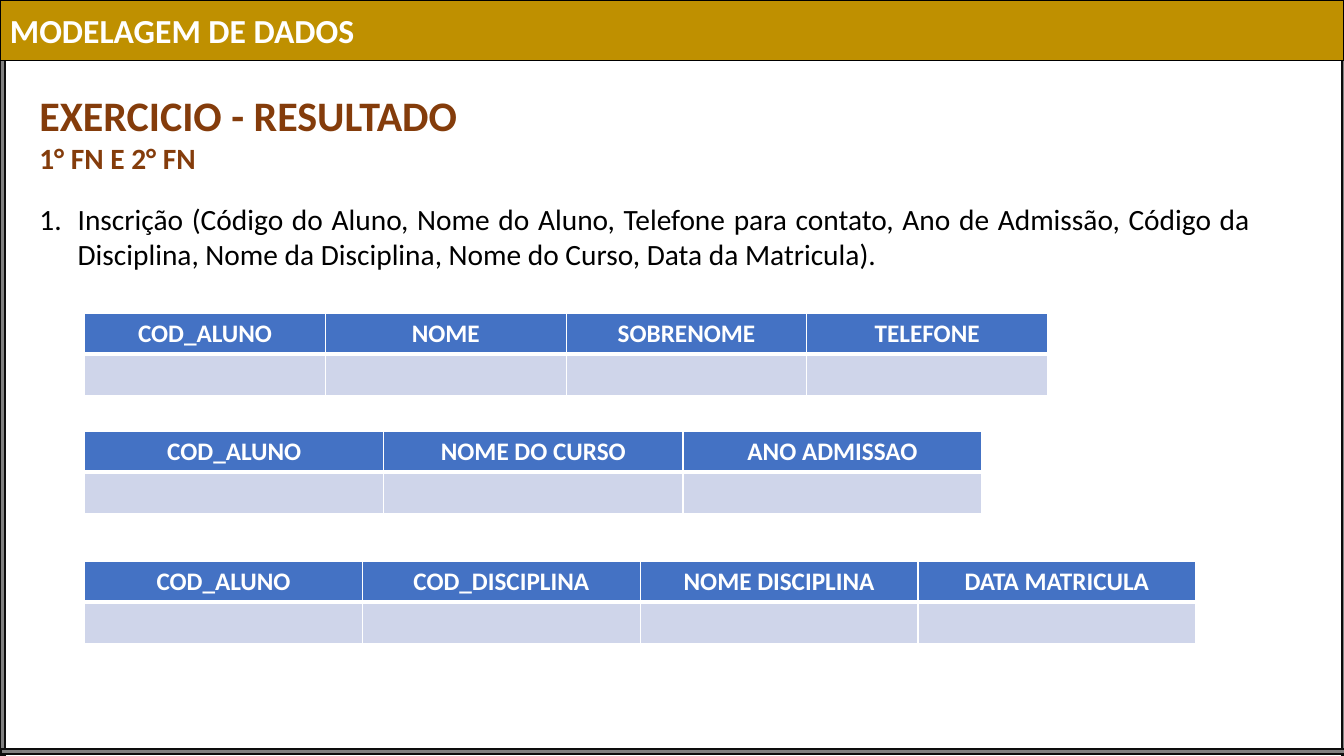
from typing import NamedTuple

import pptx
import pptx.dml.color
import pptx.enum.text
import pptx.oxml.ns
import pptx.util
from lxml import etree
from pptx.enum.shapes import MSO_SHAPE
from pptx.enum.text import MSO_ANCHOR, MSO_AUTO_SIZE, PP_ALIGN
from pptx.util import Inches

FONT = "Calibri"
WHITE, BLACK, BROWN = "FFFFFF", "000000", "843C0B"
TABLE_LEFT, ROW_HEIGHT = 0.84, 0.405


class Bar(NamedTuple):
    left: float
    top: float
    width: float
    height: float
    fill: str = "808080"
    line: str = "0D0D0D"
    label: str = ""


class Relation(NamedTuple):
    top: float
    width: float
    columns: list[str]


FRAME = [
    Bar(0, 0, 0.05, 7.5),
    Bar(13.31, 0, 0.05, 7.5),
    Bar(0, 0, 13.33, 0.6, "BF9000", BLACK, "MODELAGEM DE DADOS"),
    Bar(0.01, 7.43, 13.35, 0.05),
]
RELATIONS = [
    Relation(3.11, 9.55, ["COD_ALUNO", "NOME", "SOBRENOME", "TELEFONE"]),
    Relation(4.28, 8.9, ["COD_ALUNO", "NOME DO CURSO", "ANO ADMISSAO"]),
    Relation(5.57, 11.02, ["COD_ALUNO", "COD_DISCIPLINA", "NOME DISCIPLINA",
                           "DATA MATRICULA"]),
]


def color(value: str) -> pptx.dml.color.RGBColor:
    return pptx.dml.color.RGBColor.from_string(value)


def format_paragraph(paragraph, size: float, ink: str, bold: bool = False,
                     align: PP_ALIGN = PP_ALIGN.LEFT) -> None:
    paragraph.alignment = align
    paragraph.space_before = pptx.util.Pt(0)
    for span in paragraph.runs:
        span.font.name = FONT
        span.font.size = pptx.util.Pt(size)
        span.font.bold = bold
        span.font.color.rgb = color(ink)


def add_child(parent, tag: str, **attributes: str):
    return etree.SubElement(parent, pptx.oxml.ns.qn(tag), **attributes)


def place(box, left: float, top: float, width: float, height: float) -> None:
    box.left, box.top = Inches(left), Inches(top)
    box.width, box.height = Inches(width), Inches(height)
    box.text_frame.vertical_anchor = MSO_ANCHOR.TOP
    box.text_frame.auto_size = MSO_AUTO_SIZE.NONE


def draw_bar(page, bar: Bar) -> None:
    shape = page.shapes.add_shape(
        MSO_SHAPE.RECTANGLE, Inches(bar.left), Inches(bar.top),
        Inches(bar.width), Inches(bar.height))
    shape.shadow.inherit = False
    shape.fill.solid()
    shape.fill.fore_color.rgb = color(bar.fill)
    shape.line.color.rgb = color(bar.line)
    shape.line.width = pptx.util.Pt(1)
    if bar.label:
        shape.text_frame.text = bar.label
        shape.text_frame.vertical_anchor = MSO_ANCHOR.MIDDLE
        format_paragraph(shape.text_frame.paragraphs[0], 24, WHITE, bold=True)


def style_cell(cell, fill: str, top: float, bottom: float) -> None:
    properties = cell._tc.get_or_add_tcPr()
    for side, points in (("L", 1), ("R", 1), ("T", top), ("B", bottom)):
        border = add_child(properties, f"a:ln{side}",
                           w=str(int(pptx.util.Pt(points))))
        add_child(add_child(border, "a:solidFill"), "a:srgbClr", val=WHITE)
    cell.fill.solid()
    cell.fill.fore_color.rgb = color(fill)


def draw_relation(page, relation: Relation) -> None:
    count = len(relation.columns)
    table = page.shapes.add_table(
        2, count, Inches(TABLE_LEFT), Inches(relation.top),
        Inches(relation.width), Inches(2 * ROW_HEIGHT)).table
    for row in table.rows:
        row.height = Inches(ROW_HEIGHT)
    for index, name in enumerate(relation.columns):
        table.columns[index].width = Inches(relation.width / count)
        header = table.cell(0, index)
        header.text_frame.text = name
        format_paragraph(header.text_frame.paragraphs[0], 18, WHITE,
                         bold=True, align=PP_ALIGN.CENTER)
        style_cell(header, "4472C4", top=1, bottom=3)
        style_cell(table.cell(1, index), "CFD5EA", top=3, bottom=1)


def write_title(box) -> None:
    place(box, 0.29, 0.84, 4.38, 0.96)
    box.text_frame.text = "EXERCICIO - RESULTADO\n1° FN E 2° FN"
    box.text_frame.word_wrap = False
    for paragraph, size in zip(box.text_frame.paragraphs, (30, 21)):
        format_paragraph(paragraph, size, BROWN, bold=True)


def write_exercise(box) -> None:
    place(box, 0.29, 1.94, 12.21, 0.81)
    box.text_frame.text = (
        "Inscrição (Código do Aluno, Nome do Aluno, Telefone para contato, "
        "Ano de Admissão, Código da Disciplina, Nome da Disciplina, "
        "Nome do Curso, Data da Matricula).")
    paragraph = box.text_frame.paragraphs[0]
    properties = paragraph._p.get_or_add_pPr()
    properties.set("marL", str(int(Inches(0.38))))
    properties.set("indent", str(int(Inches(-0.38))))
    add_child(properties, "a:buFont", typeface=FONT)
    add_child(properties, "a:buAutoNum", type="arabicPeriod")
    format_paragraph(paragraph, 21, BLACK, align=PP_ALIGN.JUSTIFY)


def main() -> None:
    deck = pptx.Presentation()
    deck.slide_width, deck.slide_height = Inches(13.33), Inches(7.5)
    page = deck.slides.add_slide(deck.slide_layouts[1])

    # Frame and header band
    for bar in FRAME:
        draw_bar(page, bar)

    # Heading and exercise statement
    write_title(page.shapes.title)
    write_exercise(page.placeholders[1])

    # Normalized tables
    for relation in RELATIONS:
        draw_relation(page, relation)

    deck.save("out.pptx")


if __name__ == "__main__":
    main()
